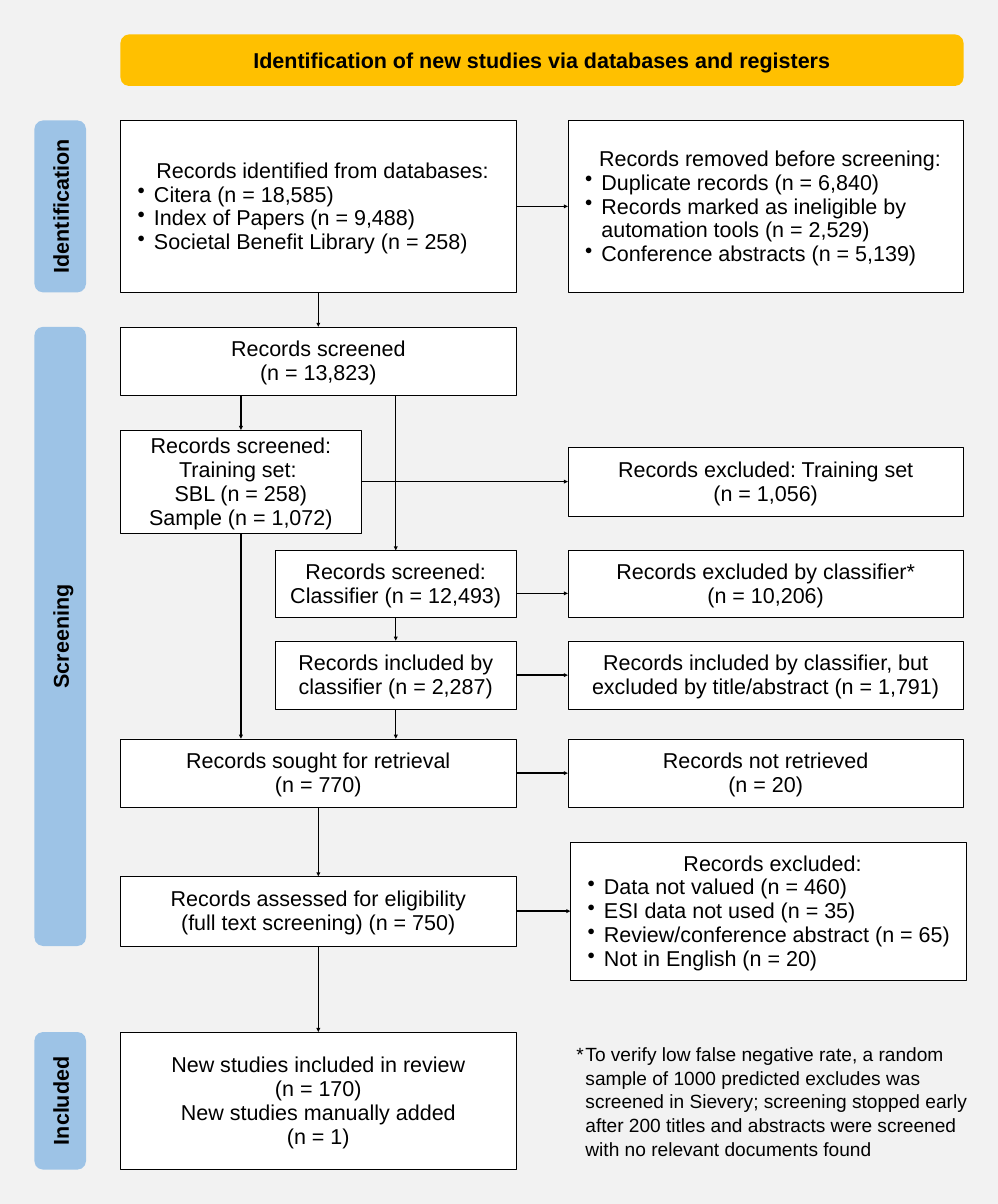
from lxml import etree
from pptx import Presentation
from pptx.dml.color import RGBColor
from pptx.enum.shapes import MSO_CONNECTOR, MSO_SHAPE
from pptx.enum.text import MSO_ANCHOR, PP_ALIGN
from pptx.oxml.ns import qn
from pptx.util import Pt

RECT, ROUND = MSO_SHAPE.RECTANGLE, MSO_SHAPE.ROUNDED_RECTANGLE
STRAIGHT = MSO_CONNECTOR.STRAIGHT
CENTER, LEFT, MIDDLE = PP_ALIGN.CENTER, PP_ALIGN.LEFT, MSO_ANCHOR.MIDDLE
TOP_SIDE, LEFT_SIDE, BOTTOM_SIDE, RIGHT_SIDE = range(4)
SCALE = 9144
FONT = "Arial"
COLORS = {"page": "F2F2F2", "title": "FFC000", "stage": "9DC3E6",
          "box": "FFFFFF", "ink": "000000"}
LIST_INSETS = (40, 20, 20, 20)
BAR_INSETS = (5, 5, 5, 5)

STAGES = [("Identification", 280, 400), ("Screening", 760, 1440), ("Included", 2400, 320)]

BOXES = {
    "screened": (280, 760, 920, 160, ["Records screened", "(n = 13,823)"]),
    "training": (280, 1000, 560, 240, ["Records screened: Training set: ",
                                       "SBL (n = 258)", "Sample (n = 1,072)"]),
    "training_out": (1320, 1040, 920, 160, ["Records excluded: Training set", "(n = 1,056)"]),
    "classifier": (640, 1280, 560, 156, ["Records screened: Classifier (n = 12,493)"]),
    "classifier_out": (1320, 1280, 920, 156, ["Records excluded by classifier*", "(n = 10,206)"]),
    "kept": (640, 1490, 560, 160, ["Records included by classifier (n = 2,287)"]),
    "kept_out": (1320, 1490, 920, 160, [
        "Records included by classifier, but excluded by title/abstract (n = 1,791)"]),
    "sought": (280, 1718, 920, 160, ["Records sought for retrieval", "(n = 770)"]),
    "sought_out": (1320, 1718, 920, 160, ["Records not retrieved", "(n = 20)"]),
    "assessed": (280, 2038, 920, 162, ["Records assessed for eligibility",
                                       "(full text screening) (n = 750)"]),
    "included": (280, 2400, 920, 320, ["New studies included in review", "(n = 170)",
                                       "New studies manually added", "(n = 1)"]),
}

LISTS = {
    "identified": (280, 280, 920, 400, [
        "Records identified from databases:", "Citera (n = 18,585)",
        "Index of Papers (n = 9,488)", "Societal Benefit Library (n = 258)"]),
    "removed": (1320, 280, 920, 400, [
        "Records removed before screening:", "Duplicate records (n = 6,840)",
        "Records marked as ineligible by automation tools (n = 2,529)",
        "Conference abstracts (n = 5,139)"]),
    "assessed_out": (1326, 1958, 920, 322, [
        "Records excluded:", "Data not valued (n = 460)", "ESI data not used (n = 35)",
        "Review/conference abstract (n = 65)", "Not in English (n = 20)"]),
}

DOWN = [("identified", "screened"), ("classifier", "kept"), ("assessed", "included")]
ACROSS = [("identified", "removed"), ("training", "training_out"), ("kept", "kept_out"),
          ("sought", "sought_out"), ("assessed", "assessed_out")]
OTHER_LINKS = [
    ((560, 920), ("training", TOP_SIDE)),
    ((920, 920), ("classifier", TOP_SIDE)),
    (("training", BOTTOM_SIDE), (560, 1718)),
    (("kept", BOTTOM_SIDE), (920, 1718)),
    (("sought", BOTTOM_SIDE), ("assessed", TOP_SIDE)),
    ((1200, 1380), (1320, 1380)),
]
NOTE = ("*\tTo verify low false negative rate, a random sample of 1000 predicted excludes "
        "was screened in Sievery; screening stopped early after 200 titles and abstracts "
        "were screened with no relevant documents found")


def px(n):
    """Turn px into EMU."""
    return int(n * SCALE)


def rgb(name):
    """Look up a named colour."""
    return RGBColor.from_string(COLORS[name])


def hang(p, indent):
    """Give a paragraph a hanging indent."""
    pPr = p._p.get_or_add_pPr()
    pPr.set("marL", str(px(indent)))
    pPr.set("indent", str(px(-indent)))
    return pPr


def add_text(sp, lines, size=36, bold=False, insets=(10, 5, 10, 5), spacing=Pt(40), align=CENTER):
    """Fill a shape with formatted paragraphs."""
    tf = sp.text_frame
    tf.text = "\n".join(lines)
    tf.word_wrap = True
    tf.vertical_anchor = MIDDLE
    tf.margin_left, tf.margin_top, tf.margin_right, tf.margin_bottom = map(px, insets)
    for p in tf.paragraphs:
        p.alignment = align
        p.line_spacing = spacing
        for r in p.runs:
            r.font.name, r.font.size, r.font.bold = FONT, Pt(size), bold
            r.font.color.rgb = rgb("ink")


def add_panel(s, kind, x, y, w, h, fill, outlined=False):
    """Add a filled shape, with or without a thin outline."""
    sp = s.shapes.add_shape(kind, px(x), px(y), px(w), px(h))
    sp.shadow.inherit = False
    sp.fill.solid()
    sp.fill.fore_color.rgb = rgb(fill)
    if outlined:
        sp.line.color.rgb = rgb("ink")
        sp.line.width = Pt(0.5)
    else:
        sp.line.fill.background()
    return sp


def add_bar(s, text, x, y, w, h, fill):
    """Add a rounded bar with a bold caption."""
    sp = add_panel(s, ROUND, x, y, w, h, fill)
    add_text(sp, [text], bold=True, insets=BAR_INSETS, spacing=None)
    return sp


def add_stage(s, text, top, length):
    """Add a stage bar whose caption reads upwards."""
    sp = add_bar(s, text, 140 - length / 2, top + length / 2 - 60, length, 120, "stage")
    sp.rotation = 270


def add_box(s, x, y, w, h, lines):
    """Add a flow box with centred lines."""
    sp = add_panel(s, RECT, x, y, w, h, "box", True)
    add_text(sp, lines)
    return sp


def add_list_box(s, x, y, w, h, lines):
    """Add a flow box with a centred heading over bullets."""
    sp = add_panel(s, RECT, x, y, w, h, "box", True)
    add_text(sp, lines, insets=LIST_INSETS)
    for p in sp.text_frame.paragraphs[1:]:
        p.alignment = LEFT
        etree.SubElement(hang(p, 38), qn("a:buChar")).set("char", "•")
    return sp


def add_note(s):
    """Add the footnote with its hanging asterisk."""
    sp = s.shapes.add_textbox(px(1320), px(2400), px(960), px(320))
    add_text(sp, [NOTE], size=32, insets=(20, 20, 20, 20), align=LEFT)
    hang(sp.text_frame.paragraphs[0], 21)


def locate(boxes, end):
    """Return the EMU position of a box side or a free point."""
    if end[0] not in boxes:
        return px(end[0]), px(end[1])
    sp, side = boxes[end[0]], end[1]
    dx, dy = [(1, 0), (0, 1), (1, 2), (2, 1)][side]
    return sp.left + sp.width * dx // 2, sp.top + sp.height * dy // 2


def add_arrow(s, boxes, start, end):
    """Add an arrow, joined to boxes where its ends name them."""
    c = s.shapes.add_connector(STRAIGHT, *locate(boxes, start), *locate(boxes, end))
    if start[0] in boxes:
        c.begin_connect(boxes[start[0]], start[1])
    if end[0] in boxes:
        c.end_connect(boxes[end[0]], end[1])
    c.line.color.rgb = rgb("ink")
    c.line.width = Pt(2.25)
    etree.SubElement(c.line._get_or_add_ln(), qn("a:tailEnd")).set("type", "triangle")
    etree.SubElement(c._element.spPr, qn("a:effectLst"))


def main():
    """Build the study selection flow slide."""
    prs = Presentation()
    prs.slide_width, prs.slide_height = px(2320), px(2800)
    s = prs.slides.add_slide(prs.slide_layouts[6])
    add_panel(s, RECT, 0, 0, 2320, 2800, "page")
    add_bar(s, "Identification of new studies via databases and registers",
            280, 80, 1960, 120, "title")
    for stage in STAGES:
        add_stage(s, *stage)
    boxes = {name: add_list_box(s, *box) for name, box in LISTS.items()}
    boxes.update({name: add_box(s, *box) for name, box in BOXES.items()})
    for a, b in DOWN:
        add_arrow(s, boxes, (a, BOTTOM_SIDE), (b, TOP_SIDE))
    for a, b in ACROSS:
        add_arrow(s, boxes, (a, RIGHT_SIDE), (b, LEFT_SIDE))
    for start, end in OTHER_LINKS:
        add_arrow(s, boxes, start, end)
    add_note(s)
    prs.save("out.pptx")


if __name__ == "__main__":
    main()
